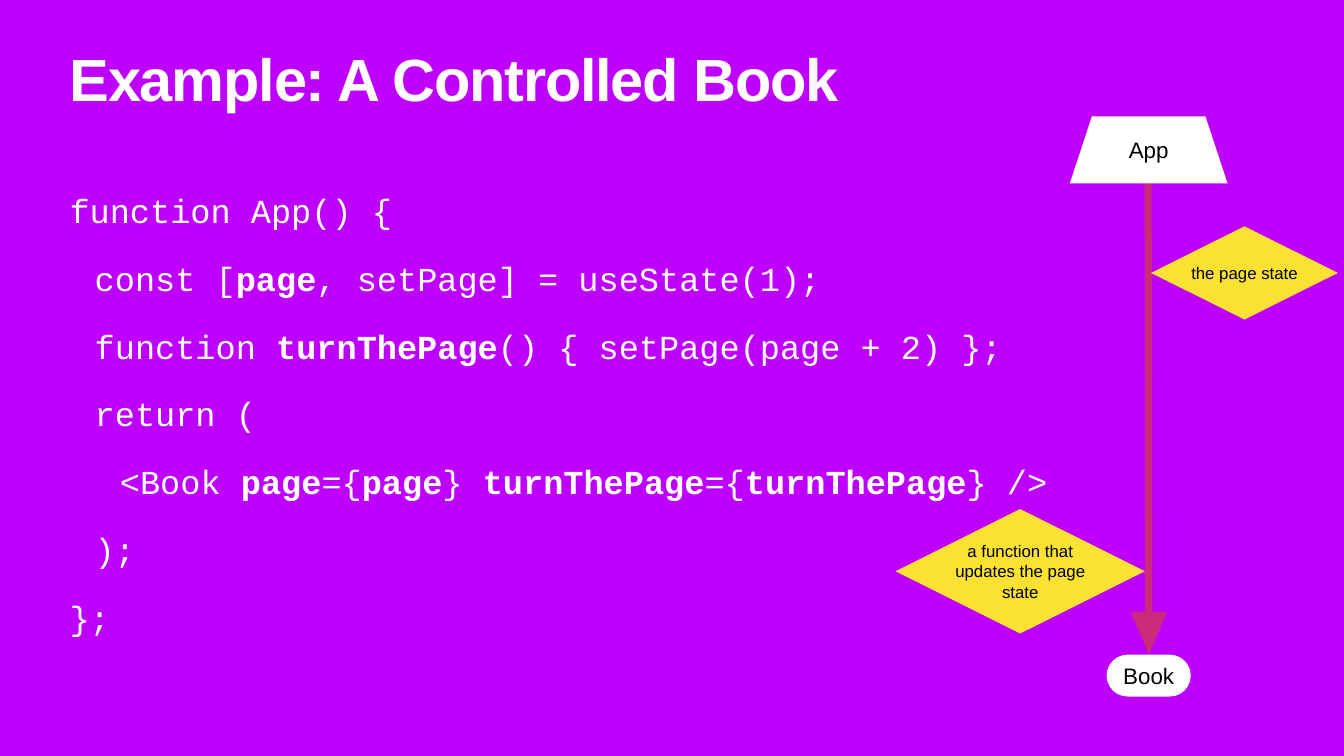
from dataclasses import dataclass

from pptx import Presentation
from pptx.dml.color import RGBColor as RGB
from pptx.enum.shapes import MSO_SHAPE as SHAPE
from pptx.enum.text import MSO_ANCHOR as ANCHOR, PP_ALIGN as ALIGN
from pptx.util import Inches, Pt


@dataclass(frozen=True)
class Theme:
    purple: RGB = RGB.from_string("BE00FF")
    white: RGB = RGB.from_string("FFFFFF")
    black: RGB = RGB.from_string("000000")
    yellow: RGB = RGB.from_string("FAE132")
    crimson: RGB = RGB.from_string("CB297B")
    sans: str = "Arial"
    mono: str = "Courier New"
    title: int = 85
    code: int = 48
    node: int = 32
    note: int = 24


T = Theme()
INSET = Inches(0.06)


def set_frame(tf, anchor):
    tf.word_wrap = True
    tf.vertical_anchor = anchor
    tf.margin_left = tf.margin_right = tf.margin_top = tf.margin_bottom = INSET


def style_shape(sp, fill, text="", size=T.node):
    """Give a flat fill and, if there is text, a centred black label."""
    sp.shadow.inherit = False
    sp.fill.solid()
    sp.fill.fore_color.rgb = fill
    sp.line.fill.background()
    if text:
        set_frame(sp.text_frame, ANCHOR.MIDDLE)
        p = sp.text_frame.paragraphs[0]
        p.text = text
        p.alignment = ALIGN.CENTER
        font = p.runs[0].font
        font.name, font.size, font.color.rgb = T.sans, Pt(size), T.black


prs = Presentation()
prs.slide_width, prs.slide_height = Inches(26.67), Inches(15)
s = prs.slides.add_slide(prs.slide_layouts[6])
s.background.fill.solid()
s.background.fill.fore_color.rgb = T.purple

# Title
title = s.shapes.add_textbox(Inches(1.32), Inches(1.04), Inches(24.03), Inches(1.57))
set_frame(title.text_frame, ANCHOR.TOP)
p = title.text_frame.paragraphs[0]
p.text = "Example: A Controlled Book"
p.line_spacing = 0.8
r = p.runs[0]
r.font.name, r.font.size, r.font.bold = T.sans, Pt(T.title), True
r.font.color.rgb = T.white
r.font._element.set("spc", "-170")

# Code: indent level and text, with bold parts between asterisks
code_lines = [
    (0, "function App() {"),
    (1, "const [*page*, setPage] = useState(1);"),
    (1, "function *turnThePage*() { setPage(page + 2) };"),
    (1, "return ("),
    (2, "<Book *page*={*page*} *turnThePage*={*turnThePage*} />"),
    (1, ");"),
    (0, "};"),
]
code = s.shapes.add_textbox(Inches(1.32), Inches(3.8), Inches(24.03), Inches(9.03))
tf = code.text_frame
set_frame(tf, ANCHOR.TOP)
for i, (level, line) in enumerate(code_lines):
    p = tf.add_paragraph() if i else tf.paragraphs[0]
    p.level, p.line_spacing, p.space_before = level, 0.9, Pt(45)
    pPr = p._p.get_or_add_pPr()
    pPr.set("marL", str(Inches(0.5 * level)))
    pPr.set("indent", "0")
    for j, part in enumerate(line.split("*")):
        r = p.add_run()
        r.text = part
        r.font.name, r.font.size, r.font.bold = T.mono, Pt(T.code), j % 2 == 1
        r.font.color.rgb = T.white

# Component tree: Book, App and the arrow between them
book = s.shapes.add_shape(
    SHAPE.ROUNDED_RECTANGLE, Inches(21.96), Inches(12.99), Inches(1.67), Inches(0.83))
book.adjustments[0] = 0.5
style_shape(book, T.white, "Book")

arrow = s.shapes.add_shape(
    SHAPE.RIGHT_ARROW, Inches(18.12), Inches(7.96), Inches(9.34), Inches(0.72))
arrow.rotation = 89.9
arrow.adjustments[0], arrow.adjustments[1] = 0.2, 1.18
style_shape(arrow, T.crimson)

# Labelled outlines; the side margin, a share of the width, keeps text inside
TRAPEZOID = [(0.14, 0), (0, 1), (1, 1), (0.86, 0)]
DIAMOND = [(0.5, 0), (0, 0.5), (0.5, 1), (1, 0.5)]
SIDE_SHARE = 0.2
labelled = [
    (TRAPEZOID, 21.23, 2.31, 3.13, 1.33, T.white, "App", T.node),
    (DIAMOND, 22.84, 4.49, 3.71, 1.85, T.yellow, "the page state", T.note),
    (DIAMOND, 17.77, 10.1, 4.95, 2.47, T.yellow,
     "a function that updates the page state", T.note),
]
for outline, x, y, w, h, fill, text, size in labelled:
    points = [(Inches(x + w * u), Inches(y + h * v)) for u, v in outline]
    fb = s.shapes.build_freeform(*points[0])
    fb.add_line_segments(points[1:], close=True)
    sp = fb.convert_to_shape()
    style_shape(sp, fill, text, size)
    tf = sp.text_frame
    tf.margin_left = tf.margin_right = Inches(w * SIDE_SHARE)

prs.save("out.pptx")
